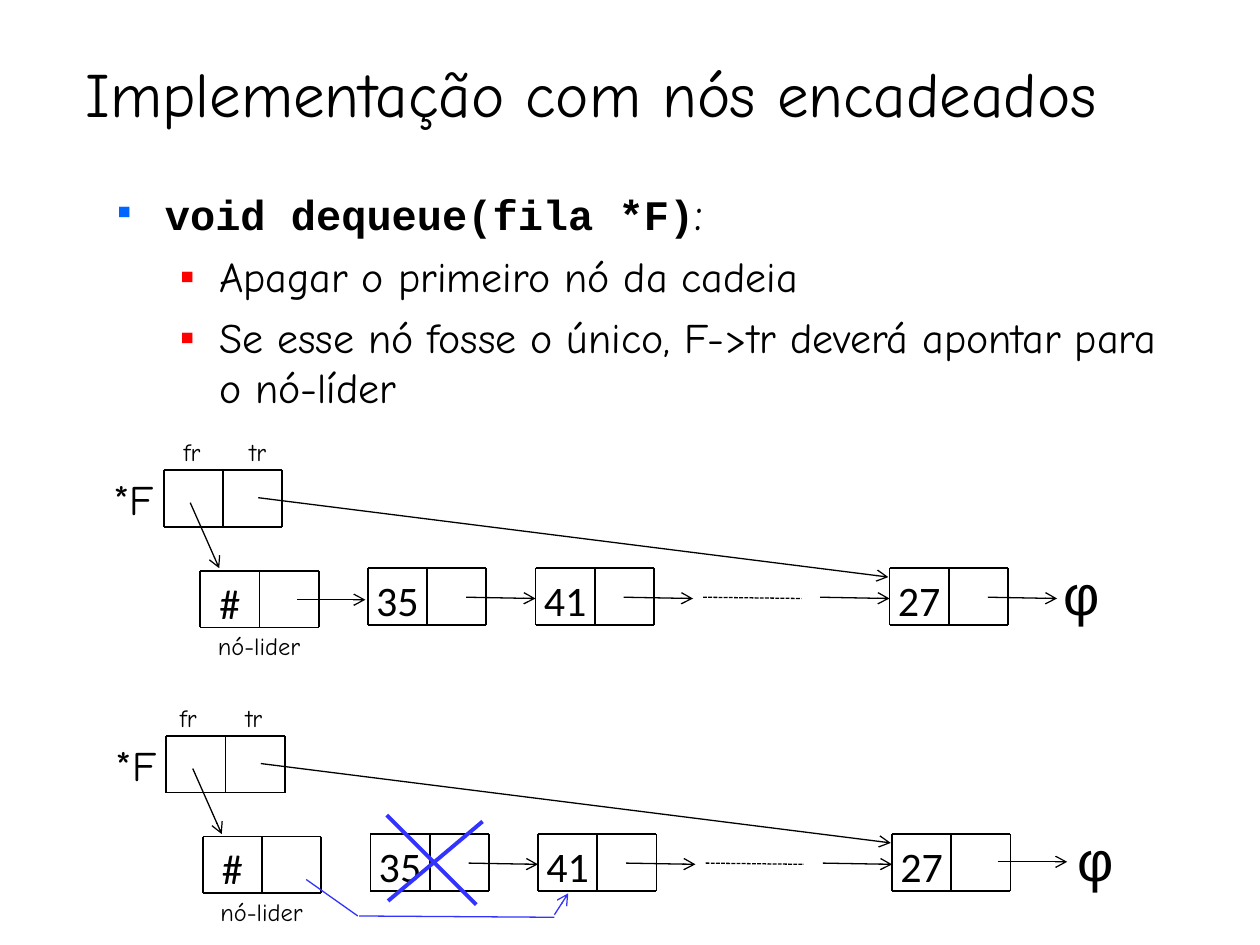
from dataclasses import dataclass

from lxml import etree
from pptx import Presentation
from pptx.dml.color import RGBColor
from pptx.enum.dml import MSO_LINE
from pptx.enum.shapes import MSO_CONNECTOR, MSO_SHAPE
from pptx.enum.text import MSO_ANCHOR, MSO_AUTO_SIZE, PP_ALIGN
from pptx.oxml.ns import qn
from pptx.util import Inches, Pt

STRAIGHT, RECTANGLE = MSO_CONNECTOR.STRAIGHT, MSO_SHAPE.RECTANGLE
DASH = MSO_LINE.SQUARE_DOT
CENTER, LEFT = PP_ALIGN.CENTER, PP_ALIGN.LEFT
TOP, BOTTOM = MSO_ANCHOR.TOP, MSO_ANCHOR.BOTTOM
FIT_SHAPE, NO_FIT = MSO_AUTO_SIZE.SHAPE_TO_FIT_TEXT, MSO_AUTO_SIZE.NONE


@dataclass(frozen=True)
class Theme:
    ink: str = "000000"
    paper: str = "FFFFFF"
    change: str = "3333FF"
    bullet: str = "0066FF"
    sub_bullet: str = "FF0000"
    hand: str = "Comic Neue"
    code: str = "Courier New"
    digits: str = "Calibri"
    symbol: str = "Arial"
    title: int = 36
    null: int = 32
    lead: int = 28
    body: int = 24
    label: int = 14
    border: float = 1
    link: float = 0.75
    cross: float = 2.25


@dataclass(frozen=True)
class Node:
    x: float
    y: float
    value: str = ""


@dataclass(frozen=True)
class Link:
    start: tuple[float, float]
    end: tuple[float, float]
    arrow: bool = True
    dashed: bool = False
    color: str = Theme.ink
    width: float = Theme.link


@dataclass(frozen=True)
class Queue:
    """One state of the queue; dx and dy move everything it holds."""
    dx: float
    dy: float
    field_x: float
    null_x: float
    tail_link: Link


THEME = Theme()
CELL_W, CELL_H = 0.47, 0.45
FIELD_TAB = 0.52

# Parts shared by both queue states
NODES = [Node(2.92, 4.51, "35"), Node(4.25, 4.51, "41"), Node(7.06, 4.51, "27"),
         Node(1.59, 4.53, "#"), Node(1.3, 3.73)]
LINKS = [Link((x, 4.74), (x + 0.55, 4.75)) for x in (3.7, 4.95, 6.51)] + [
    Link((5.58, 4.74), (6.36, 4.75), arrow=False, dashed=True),
    Link((1.51, 3.99), (1.74, 4.51)),
    Link((2.05, 3.95), (7.05, 4.58)),
]
BEFORE = Queue(0, 0, 1.36, 8.34, Link((7.84, 4.74), (8.39, 4.75)))
AFTER = Queue(0.02, 2.11, 1.31, 8.43, Link((7.9, 4.73), (8.45, 4.73)))
LEADER_LINK = Link((2.36, 4.76), (2.9, 4.76))

# Steps of the removal, in slide coordinates
REMOVAL = [
    Link((2.43, 6.98), (2.84, 7.27), arrow=False, color=THEME.change),
    Link((2.85, 7.27), (4.4, 7.28), arrow=False, color=THEME.change),
    Link((4.4, 7.26), (4.51, 7.09), color=THEME.change),
    Link((3.07, 6.47), (3.78, 7.18), False, False, THEME.change, THEME.cross),
    Link((3.08, 7.15), (3.83, 6.52), False, False, THEME.change, THEME.cross),
]


def write(paragraph, text: str, *, size: float, font: str = THEME.hand,
          bold: bool = False, align=LEFT) -> None:
    paragraph.alignment = align
    run = paragraph.add_run()
    run.text = text
    run.font.size, run.font.name, run.font.bold = Pt(size), font, bold
    run.font.color.rgb = RGBColor.from_string(THEME.ink)


def add_box(slide, x: float, y: float, w: float, h: float, *, wrap: bool = True,
            anchor=TOP):
    frame = slide.shapes.add_textbox(Inches(x), Inches(y), Inches(w), Inches(h)).text_frame
    frame.word_wrap, frame.vertical_anchor = wrap, anchor
    frame.auto_size = NO_FIT if wrap else FIT_SHAPE
    return frame


def add_bullet(paragraph, color: str, margin: float, hanging: float) -> None:
    props = paragraph._p.get_or_add_pPr()
    props.set("marL", str(Inches(margin)))
    props.set("indent", str(-Inches(hanging)))
    fill = etree.SubElement(props, qn("a:buClr"))
    etree.SubElement(fill, qn("a:srgbClr"), val=color)
    etree.SubElement(props, qn("a:buFont"), typeface=THEME.symbol)
    etree.SubElement(props, qn("a:buChar"), char="▪")


def add_cell(slide, x: float, y: float, value: str = "") -> None:
    cell = slide.shapes.add_shape(RECTANGLE, Inches(x), Inches(y),
                                  Inches(CELL_W), Inches(CELL_H))
    cell.shadow.inherit = False
    cell.fill.solid()
    cell.fill.fore_color.rgb = RGBColor.from_string(THEME.paper)
    cell.line.fill.background()
    if value:
        frame = cell.text_frame
        frame.vertical_anchor = BOTTOM
        frame.margin_left = frame.margin_right = frame.margin_top = Inches(0.01)
        frame.margin_bottom = 0
        write(frame.paragraphs[0], value, size=THEME.body, font=THEME.digits, align=CENTER)


def add_link(slide, link: Link, dx: float = 0, dy: float = 0) -> None:
    (x1, y1), (x2, y2) = link.start, link.end
    line = slide.shapes.add_connector(STRAIGHT, Inches(x1 + dx), Inches(y1 + dy),
                                      Inches(x2 + dx), Inches(y2 + dy))
    line.line.color.rgb = RGBColor.from_string(link.color)
    line.line.width = Pt(link.width)
    if link.dashed:
        line.line.dash_style = DASH
    if link.arrow:
        etree.SubElement(line.line._get_or_add_ln(), qn("a:tailEnd"), type="arrow")
    etree.SubElement(line._element.spPr, qn("a:effectLst"))


def add_node(slide, node: Node, dx: float, dy: float) -> None:
    left, middle, right = (node.x + i * CELL_W for i in range(3))
    top, bottom = node.y, node.y + CELL_H
    add_cell(slide, left + dx, top + dy, node.value)
    add_cell(slide, middle + dx, top + dy)
    rules = [((x, top), (x, bottom)) for x in (middle, left, right)]
    rules += [((left, y), (right, y)) for y in (top, bottom)]
    for start, end in rules:
        add_link(slide, Link(start, end, arrow=False, width=THEME.border), dx, dy)


def add_queue(slide, queue: Queue) -> None:
    dx, dy = queue.dx, queue.dy
    for node in NODES:
        add_node(slide, node, dx, dy)
    for link in [*LINKS, queue.tail_link]:
        add_link(slide, link, dx, dy)

    null = add_box(slide, queue.null_x + dx, 4.39 + dy, 0.43, 0.64, wrap=False)
    write(null.paragraphs[0], "φ", size=THEME.null, font=THEME.symbol)
    pointer = add_box(slide, 0.8 + dx, 3.71 + dy, 0.54, 0.5, wrap=False)
    write(pointer.paragraphs[0], "*F", size=THEME.body)
    leader = add_box(slide, 1.63 + dx, 4.96 + dy, 0.88, 0.34, wrap=False)
    write(leader.paragraphs[0], "nó-lider", size=THEME.label)

    # Field names, spaced by a tab stop
    fields = add_box(slide, queue.field_x + dx, 3.42 + dy, 0.88, 0.34).paragraphs[0]
    tabs = etree.SubElement(fields._p.get_or_add_pPr(), qn("a:tabLst"))
    etree.SubElement(tabs, qn("a:tab"), pos=str(Inches(FIELD_TAB)), algn="l")
    write(fields, "fr\ttr", size=THEME.label)


def main() -> None:
    deck = Presentation()
    deck.slide_width, deck.slide_height = Inches(10), Inches(7.5)
    slide = deck.slides.add_slide(deck.slide_layouts[6])

    # Title
    title = add_box(slide, 0.58, 0.33, 8.72, 0.75, anchor=BOTTOM)
    write(title.paragraphs[0], "Implementação com nós encadeados", size=THEME.title)

    # Operation and its rules
    body = add_box(slide, 0.83, 1.39, 8.69, 2)
    operation = body.paragraphs[0]
    add_bullet(operation, THEME.bullet, 0.38, 0.38)
    write(operation, "void dequeue(fila *F)", size=THEME.body, font=THEME.code, bold=True)
    write(operation, ":", size=THEME.lead)
    for text in ("Apagar o primeiro nó da cadeia",
                 "Se esse nó fosse o único, F->tr deverá apontar para o nó-líder"):
        rule = body.add_paragraph()
        rule.level = 1
        add_bullet(rule, THEME.sub_bullet, 0.81, 0.31)
        rule.space_before = Pt(6)
        write(rule, text, size=THEME.body)

    # Queue before and after the removal
    add_queue(slide, BEFORE)
    add_link(slide, LEADER_LINK)
    add_queue(slide, AFTER)
    for step in REMOVAL:
        add_link(slide, step)

    deck.save("out.pptx")


if __name__ == "__main__":
    main()
